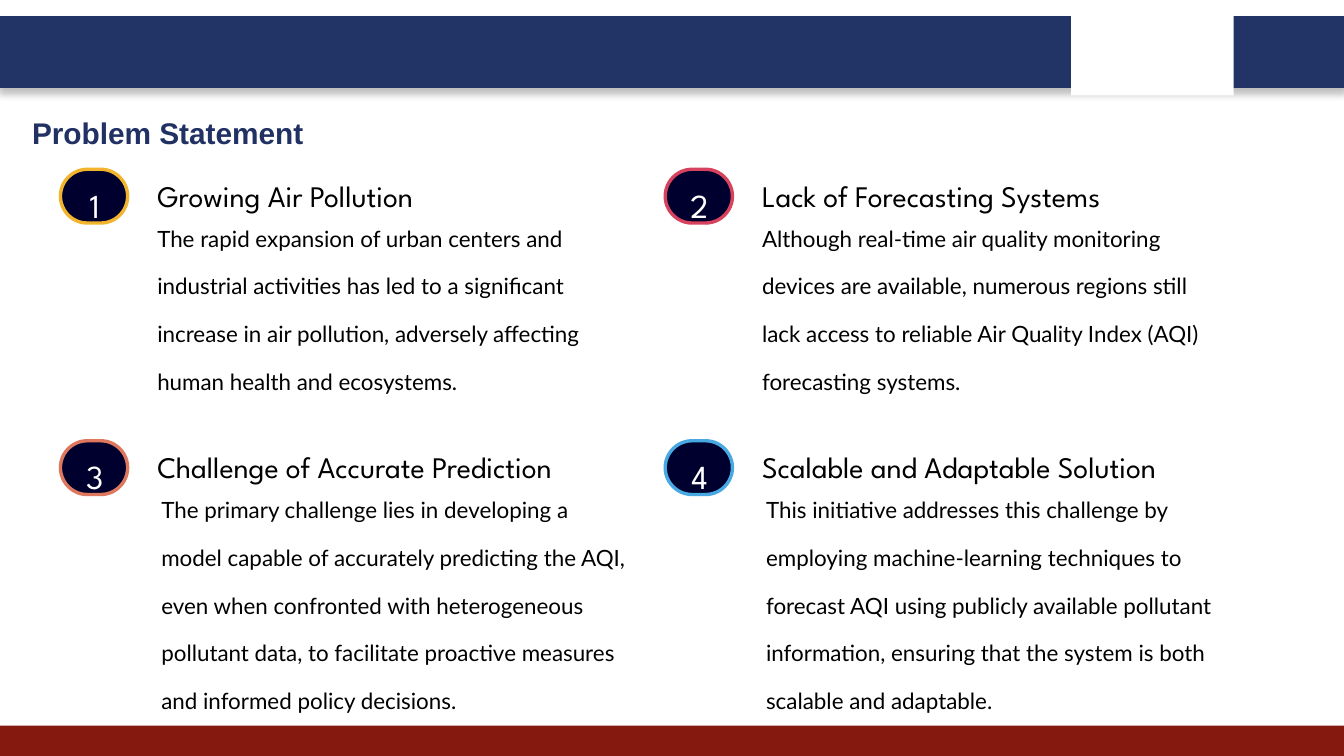
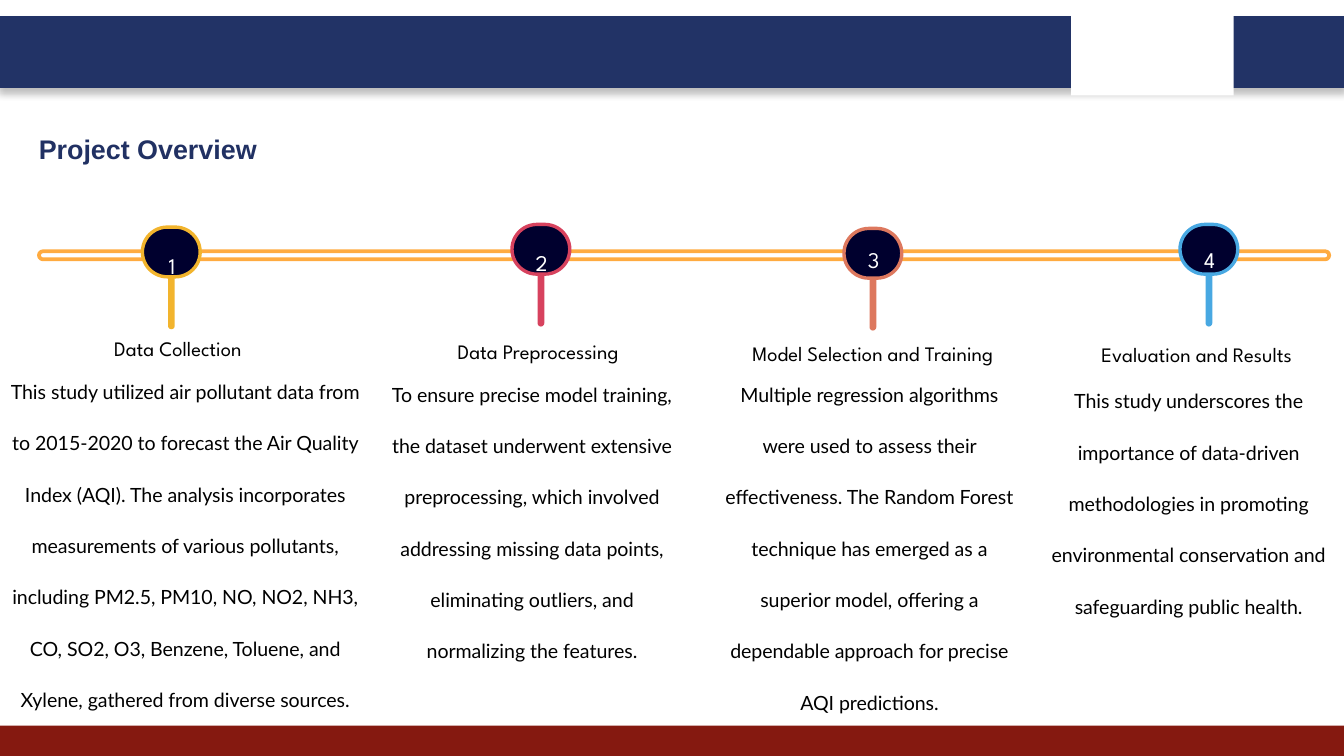
from lxml import etree
from pptx import Presentation
from pptx.dml.color import RGBColor
from pptx.enum.shapes import MSO_SHAPE as Shape
from pptx.enum.text import MSO_ANCHOR as Anchor, PP_ALIGN as Align
from pptx.oxml.ns import qn
from pptx.util import Inches, Pt

# Shared style
NAVY, MAROON, TITLE_BLUE = "223366", "851910", "213163"
INK, WHITE, BLACK, AMBER = "00002E", "FFFFFF", "000000", "FFAB40"
ACCENTS = ["F2B42D", "D7425E", "DD785E", "48A8E2"]
HEADING_FONT, BODY_FONT, TITLE_FONT = "League Spartan", "Lato", "Arial"

# Problem cards: heading, body
PROBLEMS = [
    ("Growing Air Pollution",
     "The rapid expansion of urban centers and industrial activities has led to a "
     "significant increase in air pollution, adversely affecting human health and "
     "ecosystems."),
    ("Lack of Forecasting Systems",
     "Although real-time air quality monitoring devices are available, numerous "
     "regions still lack access to reliable Air Quality Index (AQI) forecasting "
     "systems."),
    ("Challenge of Accurate Prediction",
     "The primary challenge lies in developing a model capable of accurately "
     "predicting the AQI, even when confronted with heterogeneous pollutant data, to "
     "facilitate proactive measures and informed policy decisions."),
    ("Scalable and Adaptable Solution",
     "This initiative addresses this challenge by employing machine-learning "
     "techniques to forecast AQI using publicly available pollutant information, "
     "ensuring that the system is both scalable and adaptable."),
]

# Timeline steps: badge place, number top, heading place, body place, heading, body
STEPS = [
    ((1.06, 1.69), 1.74, (0.21, 2.34, 2.23, 0.24), (0.06, 2.62, 2.64, 2.91),
     "Data Collection",
     "This study utilized air pollutant data from to 2015-2020 to forecast the Air "
     "Quality Index (AQI). The analysis incorporates measurements of various "
     "pollutants, including PM2.5, PM10, NO, NO2, NH3, CO, SO2, O3, Benzene, "
     "Toluene, and Xylene, gathered from diverse sources."),
    ((3.81, 1.67), 1.72, (2.89, 2.36, 2.23, 0.24), (2.83, 2.64, 2.26, 2.11),
     "Data Preprocessing",
     "To ensure precise model training, the dataset underwent extensive "
     "preprocessing, which involved addressing missing data points, eliminating "
     "outliers, and normalizing the features."),
    ((6.28, 1.7), 1.7, (5.34, 2.37, 2.31, 0.49), (5.38, 2.64, 2.18, 2.11),
     "Model Selection and Training",
     "Multiple regression algorithms were used to assess their effectiveness. The "
     "Random Forest technique has emerged as a superior model, offering a dependable "
     "approach for precise AQI predictions."),
    ((8.78, 1.67), 1.7, (7.75, 2.38, 2.31, 0.49), (7.69, 2.69, 2.31, 2.45),
     "Evaluation and Results",
     "This study underscores the importance of data-driven methodologies in "
     "promoting environmental conservation and safeguarding public health."),
]


def color(value):
    return RGBColor.from_string(value)


def add_block(page, place, fill, line=None, line_width=1.8, kind=Shape.RECTANGLE):
    block = page.shapes.add_shape(kind, *map(Inches, place))
    block.shadow.inherit = False
    block.fill.solid()
    block.fill.fore_color.rgb = color(fill)
    if line:
        block.line.color.rgb = color(line)
        block.line.width = Pt(line_width)
    else:
        block.line.fill.background()
    return block


def add_pill(page, place, fill, line=None, line_width=1.8):
    pill = add_block(page, place, fill, line, line_width, Shape.ROUNDED_RECTANGLE)
    pill.adjustments[0] = 0.5


def add_text(page, place, text, font, size, fill=BLACK, spacing=None,
             align=Align.LEFT, bold=False, inset=0, wrap=True):
    box = page.shapes.add_textbox(*map(Inches, place))
    frame = box.text_frame
    frame.text = text
    frame.word_wrap = wrap
    frame.vertical_anchor = Anchor.TOP
    frame.margin_left = frame.margin_right = Inches(inset)
    frame.margin_top = frame.margin_bottom = Inches(inset)
    para = frame.paragraphs[0]
    para.alignment = align
    if spacing:
        para.line_spacing = Pt(spacing)
    span = para.runs[0]
    span.font.name = font
    span.font.size = Pt(size)
    span.font.bold = bold
    span.font.color.rgb = color(fill)


def add_shadow(block):
    effects = block.element.spPr.find(qn("a:effectLst"))
    outer = etree.SubElement(effects, qn("a:outerShdw"), blurRad=str(Pt(4)),
                             dist=str(Pt(3)), dir="5400000", rotWithShape="0")
    tint = etree.SubElement(outer, qn("a:srgbClr"), val=BLACK)
    etree.SubElement(tint, qn("a:alpha"), val="25000")


def add_page(deck, title, left, top, size):
    page = deck.slides.add_slide(deck.slide_layouts[6])
    # Header band with its white panel, footer band, title
    add_shadow(add_block(page, (0, 0.13, 10, 0.51), NAVY, NAVY, 2))
    add_block(page, (0, 5.4, 10, 0.23), MAROON)
    add_block(page, (7.97, 0.07, 1.21, 0.64), WHITE)
    add_text(page, (left, top, 3.21, 0.35), title, TITLE_FONT, size,
             TITLE_BLUE, bold=True, inset=0.1)
    return page


def add_problem(page, index, heading, body):
    row, column = divmod(index, 2)
    left, top = 0.45 + 4.5 * column, 1.26 + 2.02 * row
    add_pill(page, (left, top, 0.5, 0.4), INK, ACCENTS[index])
    add_text(page, (left + 0.16, top + 0.1, 0.19, 0.25), str(index + 1),
             HEADING_FONT, 18, WHITE, 22.5, Align.CENTER, wrap=False)
    add_text(page, (left + 0.72, top, 3.39, 0.26 + 0.27 * row), heading,
             HEADING_FONT, 16, spacing=23.5)
    add_text(page, (left + 0.72 + 0.03 * row, top + 0.26, 3.39 + 0.1 * row,
                    1.44 + 0.57 * row), body, BODY_FONT, 12, spacing=25.5)


def add_step(page, index, badge, number_top, heading_place, body_place, heading, body):
    left, top = badge
    add_pill(page, (left + 0.19, top + 0.18, 0.05, 0.58), ACCENTS[index])
    add_pill(page, (left, top, 0.43, 0.37), INK, ACCENTS[index])
    add_text(page, (left + 0.14, number_top, 0.16, 0.23), str(index + 1),
             HEADING_FONT, 12, WHITE, 24, Align.CENTER, wrap=False)
    add_text(page, heading_place, heading, HEADING_FONT, 11, spacing=25,
             align=Align.CENTER)
    add_text(page, body_place, body, BODY_FONT, 10.5, spacing=27.5,
             align=Align.CENTER)


def main():
    deck = Presentation()
    # Widescreen, 16:9
    deck.slide_width = Inches(10)
    deck.slide_height = Inches(10 * 9 / 16)

    # Problem statement: two by two cards
    page = add_page(deck, "Problem Statement", 0.14, 0.75, 16)
    for index, problem in enumerate(PROBLEMS):
        add_problem(page, index, *problem)

    # Project overview: timeline
    page = add_page(deck, "Project Overview", 0.19, 0.89, 14.4)
    add_pill(page, (0.29, 1.87, 9.6, 0.06), WHITE, AMBER, 2)
    for index, step in enumerate(STEPS):
        add_step(page, index, *step)

    deck.save("out.pptx")


if __name__ == "__main__":
    main()
